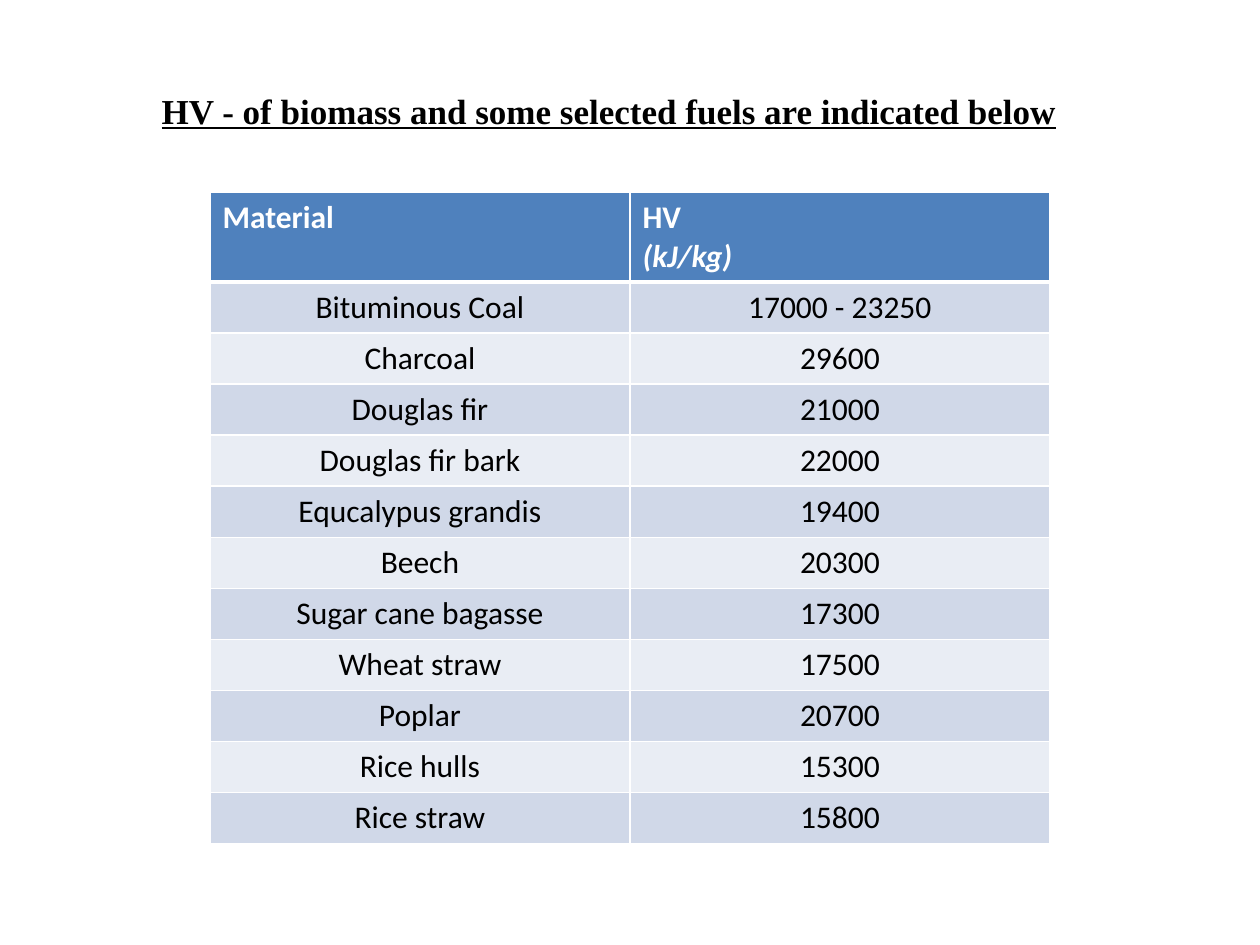
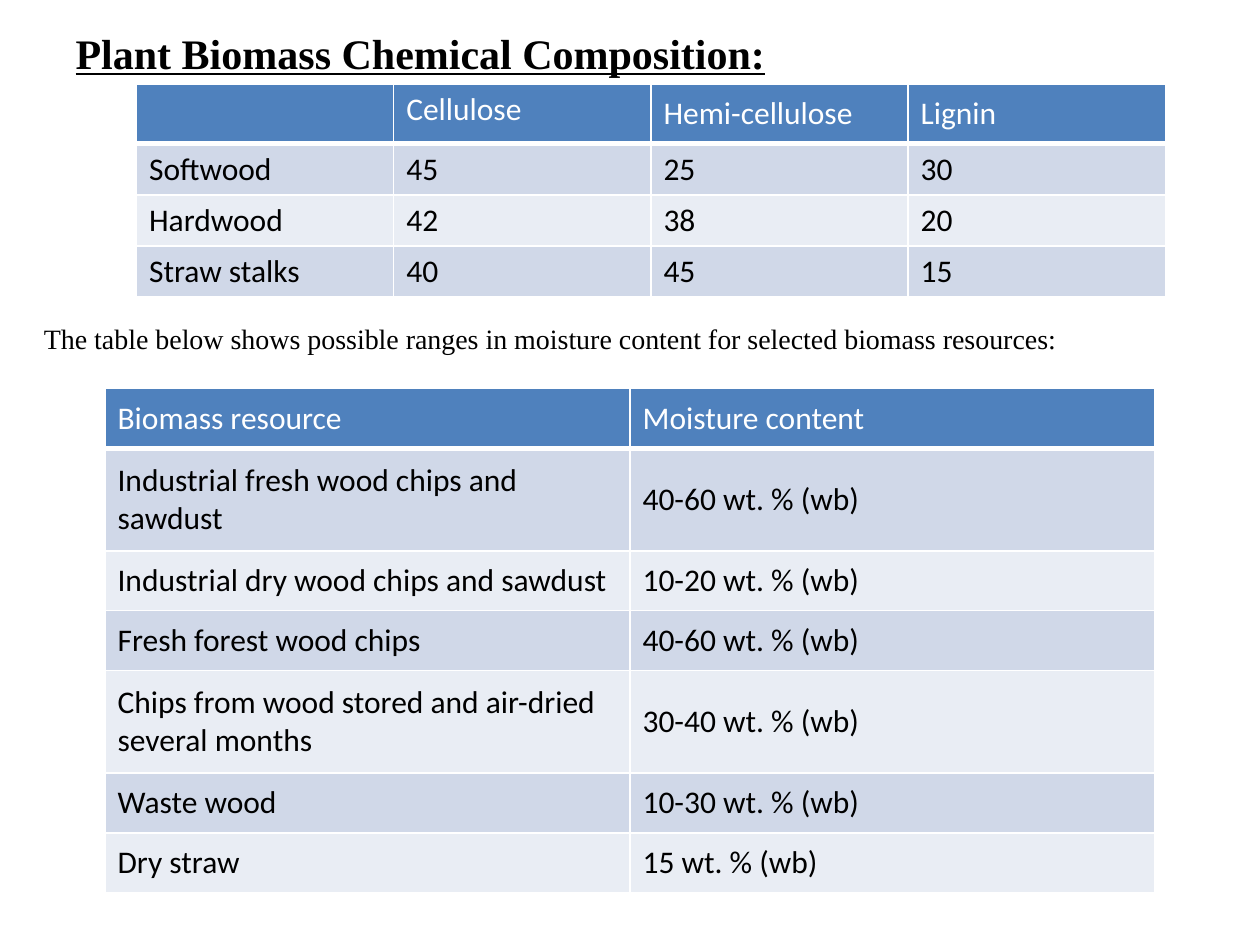
from lxml.etree import SubElement
from pptx import Presentation
from pptx.dml.color import RGBColor
from pptx.enum.text import MSO_ANCHOR, MSO_AUTO_SIZE, PP_ALIGN
from pptx.oxml.ns import qn
from pptx.util import Pt

COLORS = {
    "text": "000000",
    "header": "4F81BD",
    "header_text": "FFFFFF",
    "border": "FFFFFF",
    "odd_row": "D0D8E8",
    "even_row": "E9EDF4",
}
TITLE_FONT = "Times New Roman"
TABLE_FONT = "Calibri"

HEATING_VALUES = [
    ("Material", "HV\v(kJ/kg)"),
    ("Bituminous Coal", "17000 - 23250"),
    ("Charcoal", "29600"),
    ("Douglas fir", "21000"),
    ("Douglas fir bark", "22000"),
    ("Equcalypus grandis", "19400"),
    ("Beech", "20300"),
    ("Sugar cane bagasse", "17300"),
    ("Wheat straw", "17500"),
    ("Poplar", "20700"),
    ("Rice hulls", "15300"),
    ("Rice straw", "15800"),
]
COMPOSITION = [
    ("", "Cellulose", "Hemi-cellulose", "Lignin"),
    ("Softwood", "45", "25", "30"),
    ("Hardwood", "42", "38", "20"),
    ("Straw stalks", "40", "45", "15"),
]
MOISTURE = [
    ("Biomass resource", "Moisture content"),
    ("Industrial fresh wood chips and sawdust", "40-60 wt. % (wb)"),
    ("Industrial dry wood chips and sawdust", "10-20 wt. % (wb)"),
    ("Fresh forest wood chips", "40-60 wt. % (wb)"),
    ("Chips from wood stored and air-dried several months", "30-40 wt. % (wb)"),
    ("Waste wood", "10-30 wt. % (wb)"),
    ("Dry straw", "15 wt. % (wb)"),
]


def color(name):
    return RGBColor.from_string(COLORS[name])


def format_runs(paragraph, font_name, size, color_name, bold=False, underline=False):
    for run in paragraph.runs:
        font = run.font
        font.name, font.size = font_name, Pt(size)
        font.bold, font.underline = bold, underline
        font.color.rgb = color(color_name)


def add_titled_slide(deck, text, box, size, align):
    slide = deck.slides.add_slide(deck.slide_layouts[5])
    title = slide.shapes.title
    title.left, title.top, title.width, title.height = map(Pt, box)
    frame = title.text_frame
    frame.text = text
    frame.auto_size = MSO_AUTO_SIZE.NONE
    frame.vertical_anchor = MSO_ANCHOR.MIDDLE
    heading = frame.paragraphs[0]
    heading.alignment = align
    format_runs(heading, TITLE_FONT, size, "text", bold=True, underline=True)
    return slide


def add_sentence(slide, text, box):
    frame = slide.shapes.add_textbox(*map(Pt, box)).text_frame
    frame.word_wrap = True
    frame.text = text
    format_runs(frame.paragraphs[0], TITLE_FONT, 16, "text")


def add_borders(cell, bottom_width):
    properties = cell._tc.get_or_add_tcPr()
    for side, width in (("L", 1), ("R", 1), ("T", 1), ("B", bottom_width)):
        line = SubElement(properties, qn(f"a:ln{side}"), w=str(Pt(width)))
        fill = SubElement(line, qn("a:solidFill"))
        SubElement(fill, qn("a:srgbClr"), val=COLORS["border"])


def add_banded_table(slide, rows, left, top, width, heights,
                     bold_header=False, body_align=PP_ALIGN.LEFT, body_margin=None):
    """Draw rows as a table whose first row is the header."""
    columns = len(rows[0])
    table = slide.shapes.add_table(len(rows), columns, Pt(left), Pt(top),
                                   Pt(width), Pt(sum(heights))).table
    for column in table.columns:
        column.width = Pt(width / columns)
    for r, (texts, height) in enumerate(zip(rows, heights)):
        table.rows[r].height = Pt(height)
        is_header = r == 0
        band = "header" if is_header else "odd_row" if r % 2 else "even_row"
        for cell, text in zip(table.rows[r].cells, texts):
            add_borders(cell, 3 if is_header else 1)
            cell.fill.solid()
            cell.fill.fore_color.rgb = color(band)
            cell.vertical_anchor = MSO_ANCHOR.MIDDLE
            cell.text = text
            paragraph = cell.text_frame.paragraphs[0]
            paragraph.alignment = PP_ALIGN.LEFT if is_header else body_align
            format_runs(paragraph, TABLE_FONT, 18,
                        "header_text" if is_header else "text",
                        bold=is_header and bold_header)
            if body_margin is not None and not is_header:
                cell.margin_left = cell.margin_right = Pt(body_margin)
                cell.margin_top = cell.margin_bottom = Pt(body_margin)
    return table


def add_heating_values(deck):
    slide = add_titled_slide(
        deck, "HV - of biomass and some selected fuels are indicated below",
        (42, 30, 612, 66), 20, PP_ALIGN.CENTER)
    heights = [51] + [29.17] * (len(HEATING_VALUES) - 1)
    table = add_banded_table(slide, HEATING_VALUES, 120, 110, 480, heights,
                             bold_header=True, body_align=PP_ALIGN.CENTER,
                             body_margin=1.5)
    for header in table.rows[0].cells:
        header.vertical_anchor = MSO_ANCHOR.TOP
    unit = table.cell(0, 1).text_frame.paragraphs[0].runs[-1]
    unit.font.italic = True


def add_composition_and_moisture(deck):
    slide = add_titled_slide(deck, "Plant Biomass Chemical Composition:",
                             (36, 18, 648, 24), 24, PP_ALIGN.LEFT)
    composition = add_banded_table(slide, COMPOSITION, 78, 48, 588,
                                   [34.2] + [29.17] * 3)
    composition.cell(0, 1).vertical_anchor = MSO_ANCHOR.TOP
    add_sentence(slide, "The table below shows possible ranges in moisture content "
                 "for selected biomass resources:", (18, 180, 654, 26.6))
    single, double = 34.2, 58.6
    add_banded_table(slide, MOISTURE, 60, 222, 600,
                     [single, double, single, single, double, single, single])


def main():
    deck = Presentation()
    deck.slide_width, deck.slide_height = Pt(720), Pt(540)
    add_heating_values(deck)
    add_composition_and_moisture(deck)
    deck.save("out.pptx")


if __name__ == "__main__":
    main()
